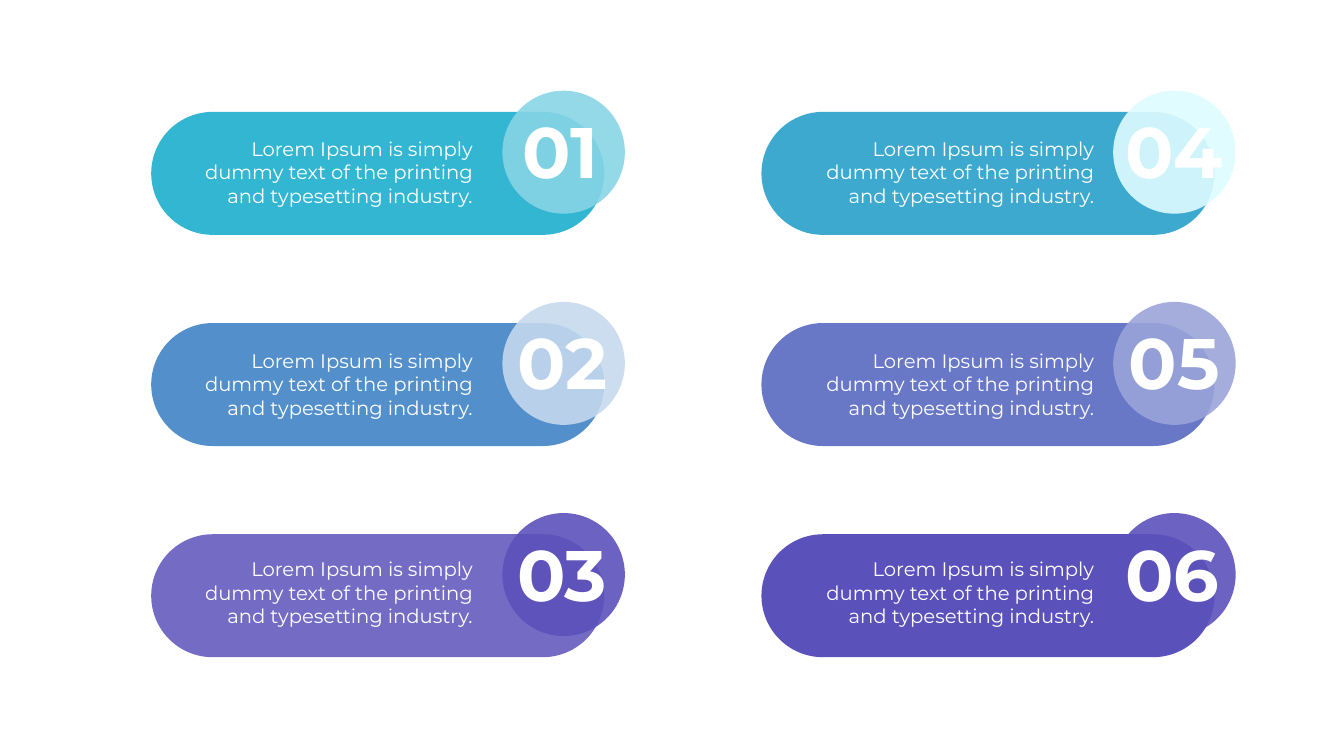
from dataclasses import dataclass
from typing import Any

from lxml import etree
from pptx import Presentation
from pptx.dml.color import RGBColor
from pptx.enum.shapes import MSO_SHAPE as Shape
from pptx.enum.text import MSO_ANCHOR as Anchor, PP_ALIGN as Align
from pptx.oxml.ns import qn
from pptx.util import Inches, Pt


def rgb(value):
    return RGBColor.from_string(value)


@dataclass
class Board:
    s: Any
    font: str = "Montserrat"
    ink: str = "FFFFFF"

    def shape(self, kind, x, y, w, h, color):
        sp = self.s.shapes.add_shape(kind, Inches(x), Inches(y), Inches(w), Inches(h))
        sp.shadow.inherit = False
        sp.fill.solid()
        sp.fill.fore_color.rgb = rgb(color)
        sp.line.fill.background()
        return sp

    def pill(self, x, y, color):
        sp = self.shape(Shape.ROUNDED_RECTANGLE, x, y, 8.99, 2.44, color)
        sp.adjustments[0] = 0.5

    def circle(self, x, y, color, opacity):
        sp = self.shape(Shape.OVAL, x, y, 2.43, 2.44, color)
        clr = sp.fill._xPr.find(qn("a:solidFill"))[0]
        etree.SubElement(clr, qn("a:alpha")).set("val", str(opacity * 1000))

    def text(self, x, y, w, h, words, size, bold=False, align=Align.LEFT, wrap=True, inset=(0, 0)):
        sp = self.s.shapes.add_textbox(Inches(x), Inches(y), Inches(w), Inches(h))
        tf = sp.text_frame
        dx, dy = map(Inches, inset)
        frame = {
            "word_wrap": wrap, "vertical_anchor": Anchor.TOP,
            "margin_left": dx, "margin_right": dx,
            "margin_top": dy, "margin_bottom": dy,
        }
        for name, value in frame.items():
            setattr(tf, name, value)
        p = tf.paragraphs[0]
        p.alignment = align
        r = p.add_run()
        r.text = words
        for name, value in {"name": self.font, "size": Pt(size), "bold": bold}.items():
            setattr(r.font, name, value)
        r.font.color.rgb = rgb(self.ink)

    def number(self, x, y, w, words):
        self.text(x, y, w, 1.72, words, 102, bold=True, wrap=False)

    def caption(self, x, y, words):
        self.text(x, y, 5.83, 1.61, words, 28, align=Align.RIGHT, inset=(0.2, 0.1))


ROWS = 3
ROW_STEP = 4.19
PILL_LEFTS = (3, 15.11)
CIRCLE_LEFTS = (9.97, 22.09)
CAPTION_LEFTS = (3.75, 16.08)
CAPTION_TOPS = (2.61, 6.82, 10.95)
CAPTION = "Lorem Ipsum is simply dummy text of the printing and typesetting industry."
ITEMS = [
    ("33B6D2", "87D5E5", 89, 10.36, 1.71),
    ("5390CB", "C5D9ED", 89, 10.26, 1.91),
    ("746BC5", "5B51BB", 90, 10.26, 1.9),
    ("3DA9CF", "DEFCFF", 90, 22.33, 1.97),
    ("6977C7", "9BA4D9", 89, 22.4, 1.98),
    ("5B51BB", "5B51BB", 90, 22.33, 2.01),
]


def main():
    prs = Presentation()
    prs.slide_width, prs.slide_height = Inches(26.67), Inches(15)
    board = Board(prs.slides.add_slide(prs.slide_layouts[6]))
    cells = [(*divmod(i, ROWS), item) for i, item in enumerate(ITEMS)]

    for col, row, (color, *_) in cells:
        board.pill(PILL_LEFTS[col], 2.22 + row * ROW_STEP, color)
    for col, row, (_, color, opacity, *_) in cells:
        board.circle(CIRCLE_LEFTS[col], 1.8 + row * ROW_STEP, color, opacity)
    for i, (_, row, (*_, left, width)) in enumerate(cells, 1):
        board.number(left, 2.13 + row * ROW_STEP, width, f"{i:02}")
    for top in CAPTION_TOPS:
        for left in CAPTION_LEFTS:
            board.caption(left, top, CAPTION)

    prs.save("out.pptx")


if __name__ == "__main__":
    main()
